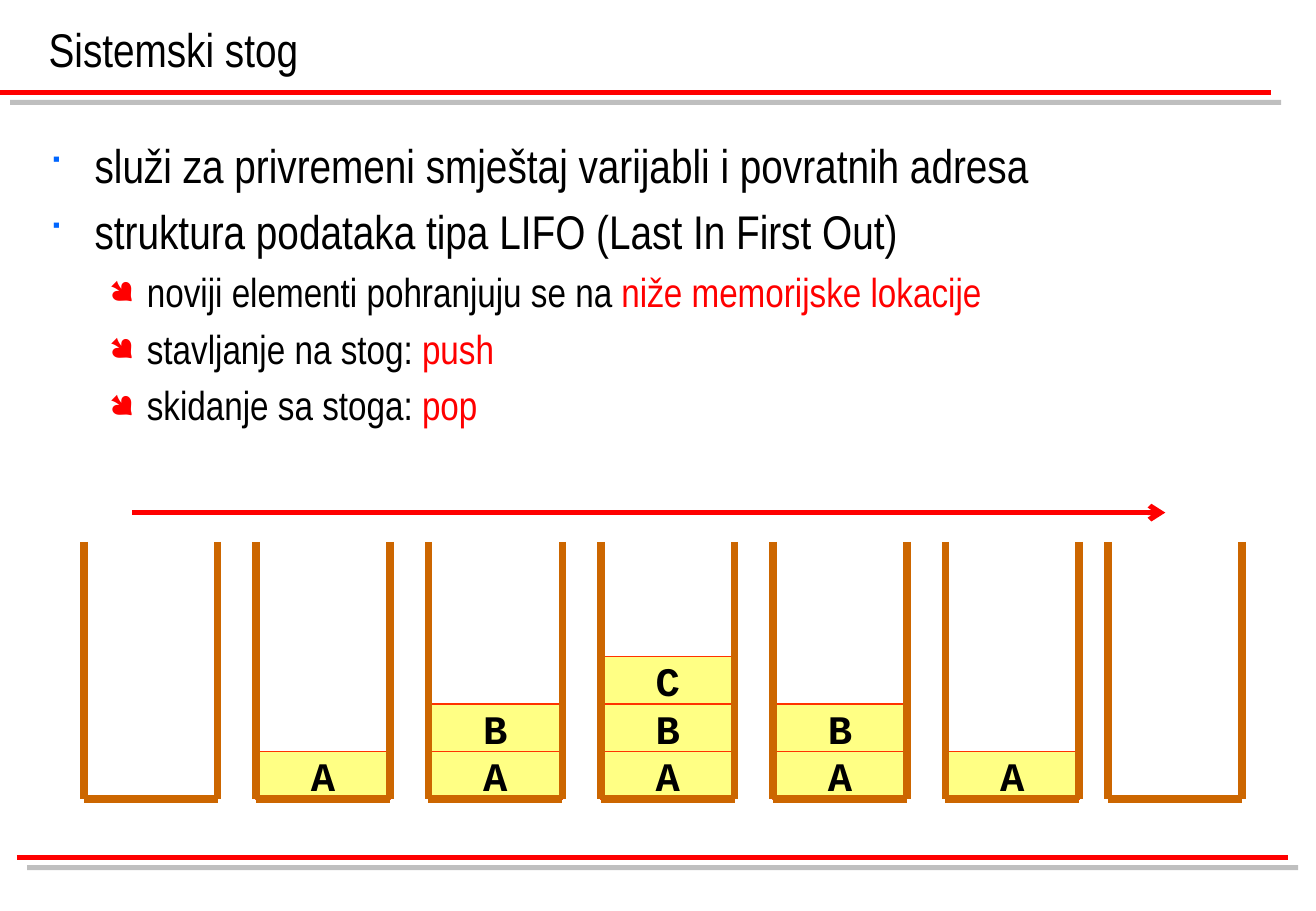
import dataclasses

import lxml.etree
import pptx
import pptx.dml.color
import pptx.enum.shapes
import pptx.enum.text
import pptx.oxml.ns
import pptx.util

Pt = pptx.util.Pt
Align = pptx.enum.text.PP_ALIGN
Anchor = pptx.enum.text.MSO_ANCHOR


@dataclasses.dataclass(frozen=True)
class Theme:
    """Colours, fonts and type sizes of the slide."""
    ink: str = "000000"
    red: str = "FF0000"
    blue: str = "0066FF"
    shade: str = "808080"
    wall: str = "CC6600"
    cell: str = "FFFF66"
    edge: str = "FF3300"
    sans: str = "Arial Narrow"
    mono: str = "Courier New"
    signs: str = "Wingdings"
    head: int = 28
    sub: int = 24


THEME = Theme()
POINTS = [
    (0, "služi za privremeni smještaj varijabli i povratnih adresa", ""),
    (0, "struktura podataka tipa LIFO (Last In First Out)", ""),
    (1, "noviji elementi pohranjuju se na ", "niže memorijske lokacije"),
    (1, "stavljanje na stog: ", "push"),
    (1, "skidanje sa stoga: ", "pop"),
]
STACKS = ["", "A", "AB", "ABC", "AB", "A", ""]


def part(box, left, top, width, height):
    """Cut a box out of another, in percent of its size."""
    x, y, w, h = box
    return (round(x + w * left / 100), round(y + h * top / 100),
            round(w * width / 100), round(h * height / 100))


def rgb(code):
    """Turn a hex code into a colour."""
    return pptx.dml.color.RGBColor.from_string(code)


def add(parent, tag, **attrs):
    """Append a drawing element with its attributes."""
    return lxml.etree.SubElement(parent, pptx.oxml.ns.qn("a:" + tag), attrs)


def style(para, size, face=THEME.sans, bold=False):
    """Set the font of a whole paragraph."""
    font = para.font
    font.name, font.size, font.bold = face, Pt(size), bold
    font.color.rgb = rgb(THEME.ink)


def rule(shapes, start, end, color, width, shadow=False, arrow=False):
    """Draw a straight line, with a shadow or an arrowhead if asked."""
    line = shapes.add_connector(
        pptx.enum.shapes.MSO_CONNECTOR.STRAIGHT, *start, *end)
    line.line.color.rgb = rgb(color)
    line.line.width = Pt(width)
    props = line._element.spPr
    if arrow:
        add(props.find(pptx.oxml.ns.qn("a:ln")), "tailEnd", type="arrow")
    effects = add(props, "effectLst")
    if shadow:
        cast = add(effects, "outerShdw", blurRad="0", dist=str(Pt(8.5)),
                   dir="2700000", algn="ctr", rotWithShape="0")
        add(add(cast, "srgbClr", val=THEME.shade), "alpha", val="50000")


def across(shapes, box, **looks):
    """Draw a red rule along the top of a box."""
    x, y, w, _ = box
    rule(shapes, (x, y), (x + w, y), THEME.red, 3, **looks)


def title(slide, box, text):
    """Place the title at the foot of its box."""
    shape = slide.shapes.title
    shape.left, shape.top, shape.width, shape.height = box
    frame = shape.text_frame
    frame.text = text
    frame.auto_size = pptx.enum.text.MSO_AUTO_SIZE.NONE
    frame.vertical_anchor = Anchor.BOTTOM
    para = frame.paragraphs[0]
    para.alignment = Align.LEFT
    style(para, THEME.head)


def bullet(para, level):
    """Give a paragraph the indent and bullet of its level."""
    left, hang, color, size, char = [
        (0.38, 0.38, THEME.blue, 75, "■"),
        (0.81, 0.31, THEME.red, 80, "●")][level]
    para.level = level
    props = para._p.get_or_add_pPr()
    props.set("marL", str(pptx.util.Inches(left)))
    props.set("indent", str(-pptx.util.Inches(hang)))
    add(add(props, "buClr"), "srgbClr", val=color)
    add(props, "buSzPct", val=str(size * 1000))
    add(props, "buFont", typeface=THEME.signs, charset="2")
    add(props, "buChar", char=char)


def body(slide, box, points):
    """Write the bulleted points."""
    frame = slide.shapes.add_textbox(*box).text_frame
    frame.word_wrap = True
    for i, (level, text, mark) in enumerate(points):
        para = frame.add_paragraph() if i else frame.paragraphs[0]
        size = (THEME.head, THEME.sub)[level]
        bullet(para, level)
        style(para, size)
        if i:
            para.space_before = Pt(size * 0.2)
        para.add_run().text = text
        if mark:
            run = para.add_run()
            run.text = mark
            run.font.color.rgb = rgb(THEME.red)


def cell(slide, box, text):
    """Draw one element held on a stack."""
    shape = slide.shapes.add_shape(
        pptx.enum.shapes.MSO_SHAPE.RECTANGLE, *box)
    shape.shadow.inherit = False
    shape.fill.solid()
    shape.fill.fore_color.rgb = rgb(THEME.cell)
    tint = shape._element.spPr.find(".//" + pptx.oxml.ns.qn("a:srgbClr"))
    add(tint, "alpha", val="80000")
    shape.line.color.rgb = rgb(THEME.edge)
    shape.line.width = Pt(0.75)
    frame = shape.text_frame
    frame.word_wrap = False
    frame.vertical_anchor = Anchor.MIDDLE
    para = frame.paragraphs[0]
    para.text = text
    para.alignment = Align.CENTER
    style(para, THEME.sub, THEME.mono, True)


def stack(slide, box, items):
    """Fill a stack from its floor up and draw its walls."""
    tall = 18.5
    for i, text in enumerate(items, 1):
        cell(slide, part(box, 0, 100 - i * tall, 100, tall), text)
    x, y, w, h = box
    walls = slide.shapes.add_group_shape().shapes
    for start, end in [((x, y), (x, y + h)), ((x + w, y), (x + w, y + h)),
                       ((x, y + h), (x + w, y + h))]:
        rule(walls, start, end, THEME.wall, 4.5)


def steps(slide, box, stacks):
    """Set the states of the stack side by side."""
    wide, pitch = 11.56, 14.88
    for i, items in enumerate(stacks):
        left = min(i * pitch, 100 - wide)
        stack(slide, part(box, left, 0, wide, 100), items)


def main():
    """Build and save the slide."""
    deck = pptx.Presentation()
    deck.slide_width = pptx.util.Inches(10.83)
    deck.slide_height = pptx.util.Inches(7.5)
    page = (0, 0, deck.slide_width, deck.slide_height)
    slide = deck.slides.add_slide(deck.slide_layouts[5])
    across(slide.shapes, part(page, 0, 10.13, 96.58, 0), shadow=True)
    across(slide.shapes, part(page, 1.29, 94.13, 96.58, 0), shadow=True)
    title(slide, part(page, 2.77, 0, 93.81, 9.07), "Sistemski stog")
    body(slide, part(page, 2.77, 14.27, 94.55, 77.73), POINTS)
    across(slide.shapes, part(page, 10.06, 56.27, 78.49, 0), arrow=True)
    steps(slide, part(page, 6.37, 59.47, 88, 28.27), STACKS)
    deck.save("out.pptx")


if __name__ == "__main__":
    main()
